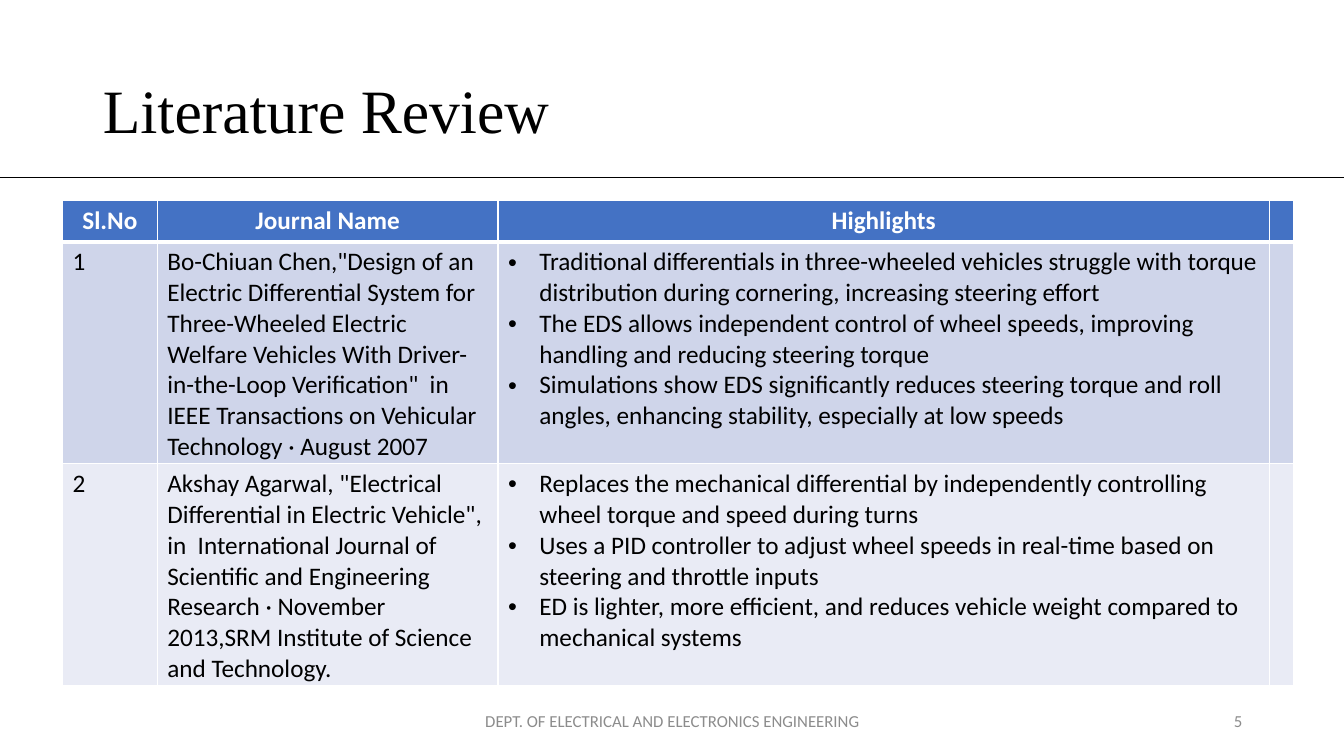
from dataclasses import dataclass

from lxml.etree import SubElement
from pptx import Presentation
from pptx.dml.color import RGBColor as Rgb
from pptx.enum.shapes import MSO_CONNECTOR as Connector
from pptx.enum.text import MSO_ANCHOR as Anchor, PP_ALIGN as Align
from pptx.oxml.ns import qn
from pptx.util import Inches, Pt


@dataclass(frozen=True)
class Theme:
    """Colours, fonts and type sizes of the slide."""
    ink: str = "000000"
    paper: str = "FFFFFF"
    muted: str = "8C8C8C"
    header: str = "4472C4"
    bands: tuple = ("CFD5EA", "E9EBF5")
    title_font: str = "Times New Roman"
    body_font: str = "Calibri"
    title_size: int = 44
    body_size: int = 18
    footer_size: int = 12


THEME = Theme()
WIDTH, HEIGHT = 13.33, 7.5
COLUMNS = (0.94, 3.38, 7.65, 0.24)
ROWS = (0.41, 2.2, 2.2)
INDENT = 0.31
HEADINGS = ("Sl.No", "Journal Name", "Highlights", "")
REVIEWS = (
    ("1",
     'Bo-Chiuan Chen,"Design of an Electric Differential System for Three-Wheeled '
     'Electric Welfare Vehicles With Driver-in-the-Loop Verification"  in  IEEE '
     "Transactions on Vehicular Technology · August 2007",
     ("Traditional differentials in three-wheeled vehicles struggle with torque "
      "distribution during cornering, increasing steering effort",
      "The EDS allows independent control of wheel speeds, improving handling and "
      "reducing steering torque",
      "Simulations show EDS significantly reduces steering torque and roll angles, "
      "enhancing stability, especially at low speeds"),
     ""),
    ("2",
     'Akshay Agarwal, "Electrical Differential in Electric Vehicle", in  International '
     "Journal of Scientific and Engineering Research · November 2013,SRM Institute of "
     "Science and Technology.",
     ("Replaces the mechanical differential by independently controlling wheel torque "
      "and speed during turns",
      "Uses a PID controller to adjust wheel speeds in real-time based on steering and "
      "throttle inputs",
      "ED is lighter, more efficient, and reduces vehicle weight compared to mechanical "
      "systems"),
     ""),
)


def set_all(target, values):
    """Set every attribute named in values on target."""
    for key, value in values.items():
        setattr(target, key, value)


def write(paragraph, text, size, color, font=THEME.body_font, bold=False, **layout):
    """Fill a paragraph with one formatted run."""
    set_all(paragraph, layout)
    run = paragraph.add_run()
    run.text = text
    set_all(run.font, {"name": font, "size": Pt(size), "bold": bold})
    run.font.color.rgb = Rgb.from_string(color)


def add_bullet(paragraph):
    """Give a paragraph a round bullet with a hanging indent."""
    properties = paragraph._p.get_or_add_pPr()
    properties.set("marL", str(Inches(INDENT)))
    properties.set("indent", str(-Inches(INDENT)))
    SubElement(properties, qn("a:buFont"), typeface="Arial")
    SubElement(properties, qn("a:buChar"), char="•")


def add_borders(cell, bottom):
    """Draw white borders around a cell, with its own bottom width."""
    properties = cell._tc.get_or_add_tcPr()
    for side, width in {"L": 1, "R": 1, "T": 1, "B": bottom}.items():
        edge = SubElement(properties, qn(f"a:ln{side}"), w=str(Pt(width)))
        paint = SubElement(edge, qn("a:solidFill"))
        SubElement(paint, qn("a:srgbClr"), val=THEME.paper)


def add_title(slide, box, text):
    """Place the heading in the title placeholder."""
    title = slide.shapes.title
    set_all(title, dict(zip(("left", "top", "width", "height"), map(Inches, box))))
    set_all(title.text_frame, {"vertical_anchor": Anchor.MIDDLE, "word_wrap": True})
    write(title.text_frame.paragraphs[0], text, THEME.title_size, THEME.ink,
          THEME.title_font, alignment=Align.LEFT, line_spacing=0.9)


def add_rule(slide, top):
    """Draw the thin line across the slide under the title."""
    rule = slide.shapes.add_connector(
        Connector.STRAIGHT, 0, Inches(top), Inches(WIDTH), Inches(top))
    rule.line.width = Pt(0.5)
    rule.line.color.rgb = Rgb.from_string(THEME.ink)
    SubElement(rule._element.spPr, qn("a:effectLst"))


def fill_cell(cell, content, row):
    """Write and colour one cell as a heading, text or bullet list."""
    heading = row == 0
    add_borders(cell, 3 if heading else 1)
    cell.fill.solid()
    cell.fill.fore_color.rgb = Rgb.from_string(
        THEME.header if heading else THEME.bands[(row - 1) % 2])
    bulleted = isinstance(content, tuple)
    frame = cell.text_frame
    for index, text in enumerate(content if bulleted else (content,)):
        paragraph = frame.add_paragraph() if index else frame.paragraphs[0]
        if bulleted:
            add_bullet(paragraph)
        if text:
            write(paragraph, text, THEME.body_size,
                  THEME.paper if heading else THEME.ink, bold=heading,
                  alignment=Align.CENTER if heading else Align.LEFT)


def add_review_table(slide, left, top):
    """Build the table of reviewed papers from its upper left corner."""
    table = slide.shapes.add_table(
        len(ROWS), len(COLUMNS), Inches(left), Inches(top),
        Inches(sum(COLUMNS)), Inches(sum(ROWS))).table
    for column, width in zip(table.columns, COLUMNS):
        column.width = Inches(width)
    for row, height in zip(table.rows, ROWS):
        row.height = Inches(height)
    for row, contents in enumerate((HEADINGS, *REVIEWS)):
        for column, content in enumerate(contents):
            fill_cell(table.cell(row, column), content, row)


def add_footer(slide, box, text, alignment):
    """Place one small grey footer text in its box."""
    footer = slide.shapes.add_textbox(*map(Inches, box)).text_frame
    set_all(footer, {"word_wrap": True, "vertical_anchor": Anchor.MIDDLE})
    write(footer.paragraphs[0], text, THEME.footer_size, THEME.muted,
          alignment=alignment)


def main():
    """Build and save the literature review slide."""
    deck = Presentation()
    set_all(deck, {"slide_width": Inches(WIDTH), "slide_height": Inches(HEIGHT)})
    slide = deck.slides.add_slide(deck.slide_layouts[5])
    add_title(slide, (0.92, 0.4, 11.5, 1.45), "Literature Review")
    add_footer(slide, (4.42, 6.95, 4.5, 0.4),
               "DEPT. OF ELECTRICAL AND ELECTRONICS ENGINEERING", Align.CENTER)
    add_footer(slide, (9.42, 6.95, 3, 0.4), "5", Align.RIGHT)
    add_rule(slide, 1.76)
    add_review_table(slide, 0.62, 1.99)
    deck.save("out.pptx")


if __name__ == "__main__":
    main()
